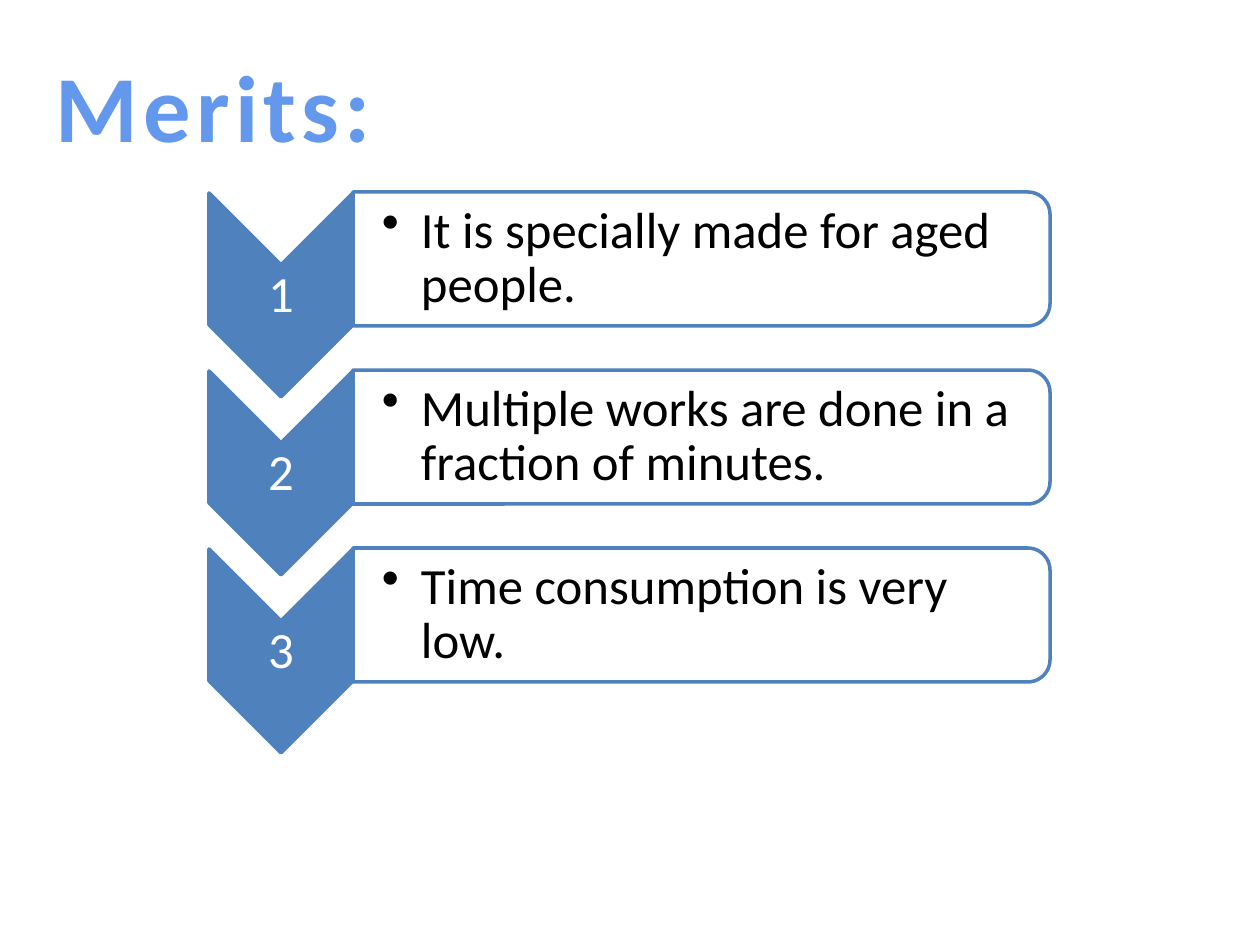
from lxml import etree
from pptx import Presentation
from pptx import util as u
from pptx.dml.color import RGBColor
from pptx.enum import shapes, text
from pptx.oxml import ns

PX = 914400 / 126
COLORS = {"blue": "4F81BD", "white": "FFFFFF", "black": "000000",
          "title_top": "6398ED", "title_bottom": "265EA0", "title_edge": "F4F6F9"}
MERITS = ["It is specially made for aged people.",
          "Multiple works are done in a fraction of minutes.",
          "Time consumption is very low."]
ROW_PITCH = 178


def px(length):
    return u.Emu(round(length * PX))


def color(name):
    return RGBColor.from_string(COLORS[name])


def set_all(target, values):
    for name, value in values.items():
        setattr(target, name, value)


def add_xml(parent, markup, index=0):
    holder = etree.fromstring(f'<holder xmlns:a="{ns.nsuri("a")}">{markup}</holder>')
    parent.insert(index, holder[0])


def add_label(page, box, words, frame_format, para_format, font_format):
    """Text box with one paragraph; returns the paragraph and its run."""
    frame = page.shapes.add_textbox(*map(px, box)).text_frame
    set_all(frame, frame_format)
    para = frame.paragraphs[0]
    set_all(para, para_format)
    span = para.add_run()
    span.text = words
    set_all(span.font, {"name": "Calibri", **font_format})
    return para, span


def add_turned_shape(page, kind, box, fill):
    """Shape turned a quarter clockwise so that it covers the given box."""
    left, top, width, height = box
    shift = (width - height) / 2
    shape = page.shapes.add_shape(kind, px(left + shift), px(top - shift),
                                  px(height), px(width))
    shape.rotation = 90
    shape.shadow.inherit = False
    shape.fill.solid()
    shape.fill.fore_color.rgb = color(fill)
    shape.line.color.rgb = color("blue")
    shape.line.width = u.Pt(2)
    return shape


def add_title(page, box):
    _, span = add_label(page, box, "Merits:",
                        {"word_wrap": False, "auto_size": text.MSO_AUTO_SIZE.SHAPE_TO_FIT_TEXT},
                        {"alignment": text.PP_ALIGN.CENTER},
                        {"size": u.Pt(54), "bold": True})
    # Letter spacing, pale outline and vertical gradient
    properties = span.font._element
    properties.set("spc", "300")
    add_xml(properties, '<a:ln w="11430"><a:solidFill>'
            f'<a:srgbClr val="{COLORS["title_edge"]}"/></a:solidFill></a:ln>')
    add_xml(properties, '<a:gradFill><a:gsLst>'
            f'<a:gs pos="10000"><a:srgbClr val="{COLORS["title_top"]}"/></a:gs>'
            f'<a:gs pos="75000"><a:srgbClr val="{COLORS["title_bottom"]}"/></a:gs>'
            '</a:gsLst><a:lin ang="5400000"/></a:gradFill>', 1)


def add_merit(page, box, number, words):
    left, top, width, height = box
    arrow_width, panel_height = 144, 134
    inner = {"word_wrap": True, "vertical_anchor": text.MSO_ANCHOR.MIDDLE,
             **{f"margin_{side}": px(3) for side in ("left", "top", "right", "bottom")}}

    # Numbered chevron
    add_turned_shape(page, shapes.MSO_SHAPE.CHEVRON,
                     (left, top, arrow_width, height), "blue")
    _, span = add_label(page, (left, top + 72, arrow_width, 62), str(number), inner,
                        {"alignment": text.PP_ALIGN.CENTER, "line_spacing": 0.9},
                        {"size": u.Pt(29)})
    span.font.color.rgb = color("white")

    # Panel with rounded right corners
    panel_left, panel_width = left + arrow_width, width - arrow_width
    panel = add_turned_shape(page, shapes.MSO_SHAPE.ROUND_2_SAME_RECTANGLE,
                             (panel_left, top - 1, panel_width, panel_height), "white")
    add_xml(panel._element.spPr.find(ns.qn("a:solidFill"))[0], '<a:alpha val="90000"/>')

    # Bulleted statement
    para, span = add_label(page, (panel_left, top + 6, panel_width - 7, panel_height - 14),
                           words, {**inner, "margin_left": px(29)},
                           {"line_spacing": 0.9}, {"size": u.Pt(29)})
    span.font.color.rgb = color("black")
    properties = para._p.get_or_add_pPr()
    properties.set("marL", str(px(39)))
    properties.set("indent", str(-px(39)))
    add_xml(properties, '<a:buChar char="•"/>', len(properties))


def main():
    deck = Presentation()
    deck.slide_width, deck.slide_height = px(1260), px(945)
    page = deck.slides.add_slide(deck.slide_layouts[6])
    add_title(page, (39, 42, 349, 127))
    for index, words in enumerate(MERITS):
        add_merit(page, (209, 193 + index * ROW_PITCH, 841, 204), index + 1, words)
    deck.save("out.pptx")


if __name__ == "__main__":
    main()
